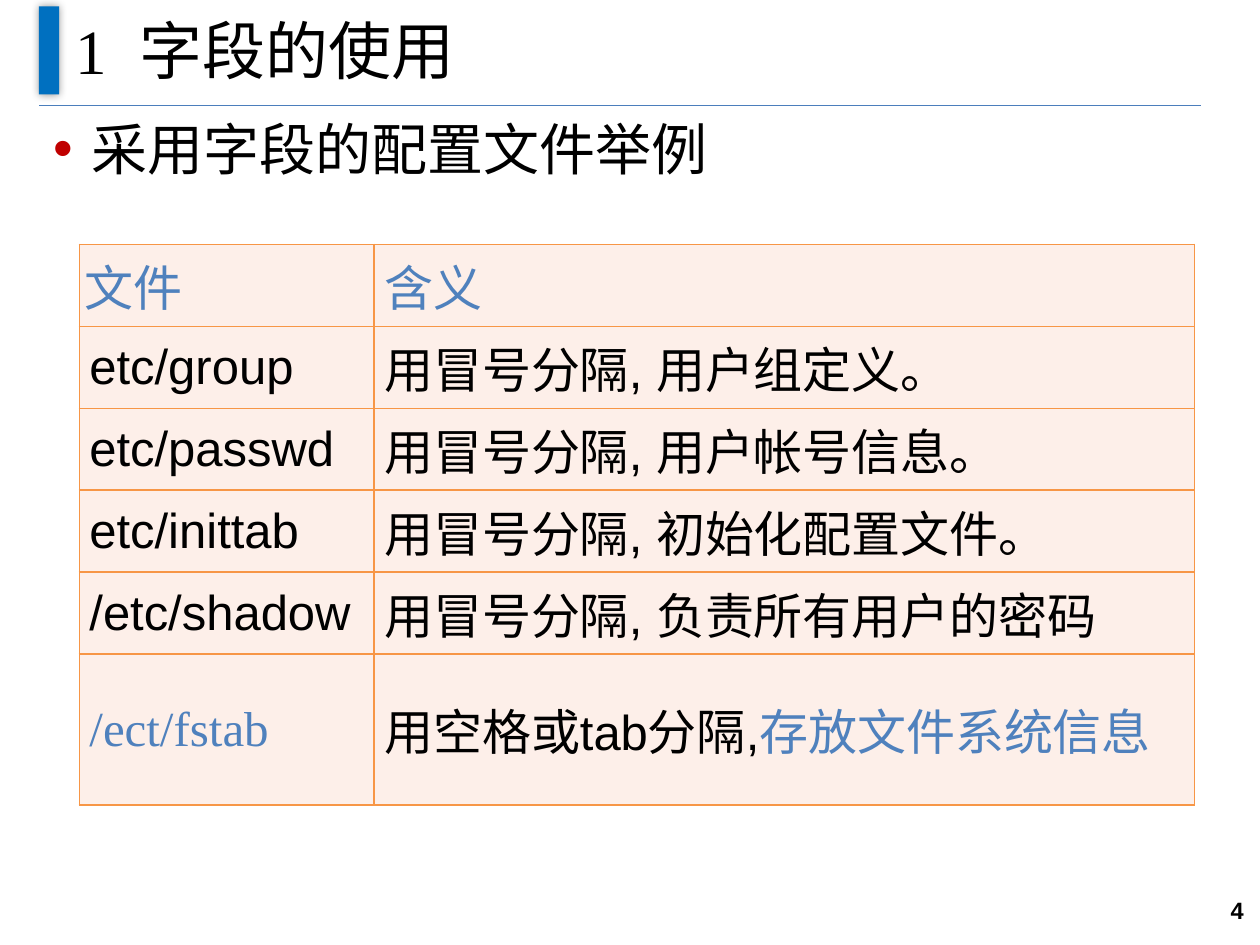
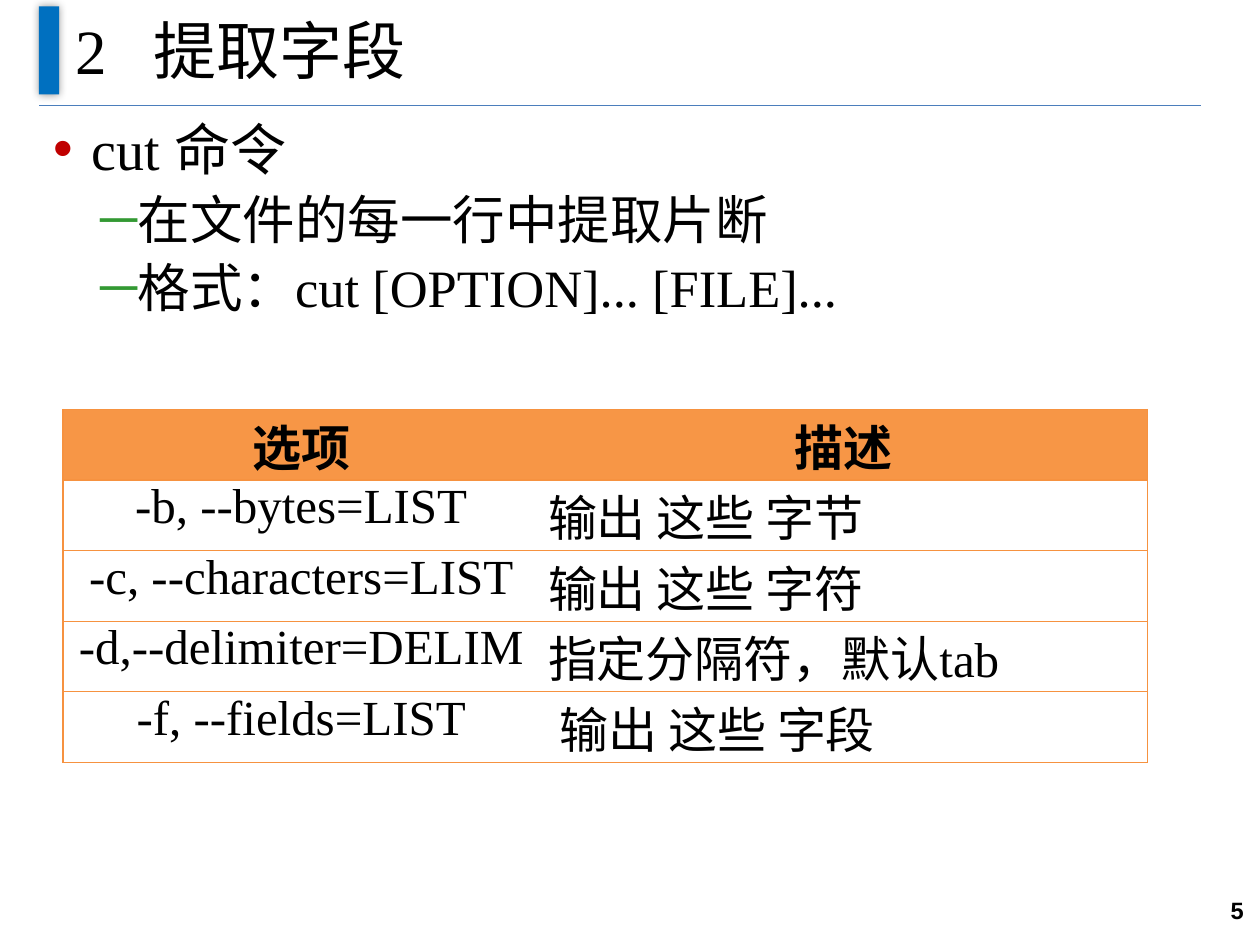
from dataclasses import dataclass

from lxml.etree import SubElement as Sub
from pptx import Presentation
from pptx.dml.color import RGBColor as RGB
from pptx.enum.lang import MSO_LANGUAGE_ID as Lang
from pptx.enum.shapes import MSO_CONNECTOR as Conn, MSO_SHAPE as Shape
from pptx.enum.text import MSO_ANCHOR as Anchor, MSO_AUTO_SIZE as Auto, PP_ALIGN as Align
from pptx.oxml.ns import qn
from pptx.util import Inches, Pt


@dataclass(frozen=True)
class Theme:
    # Fonts
    serif: str = "Times New Roman"
    sans: str = "Arial"
    # Colours
    ink: str = "000000"
    blue: str = "4F81BD"
    bar: str = "0070C0"
    rule: str = "4B7EBC"
    red: str = "C00000"
    green: str = "339933"
    head: str = "F79646"
    edge: str = "F69240"
    tint: str = "FDEFE9"
    white: str = "FFFFFF"
    # Type sizes
    title: float = 36
    point: float = 32
    sub: float = 30
    cell: float = 28
    page: float = 13.5


def tint(fill, hue):
    fill.solid()
    fill.fore_color.rgb = RGB.from_string(hue)


class Deck:
    def __init__(self, theme):
        self.theme = theme
        self.prs = Presentation()
        self.prs.slide_width, self.prs.slide_height = Inches(10), Inches(7.5)
        self.slide = None

    def style(self, run, size, font=None, hue=None, bold=False):
        face = run.font
        face.size, face.bold = Pt(size), bold
        face.name = font or self.theme.serif
        face.language_id = Lang.SIMPLIFIED_CHINESE
        face.color.rgb = RGB.from_string(hue or self.theme.ink)

    def page(self, mark, name, stop, number):
        """Start a slide with its title, side bar, rule and page number."""
        th = self.theme
        self.slide = self.prs.slides.add_slide(self.prs.slide_layouts[5])
        self.rule()
        self.bar()
        self.title(mark, name, stop)
        self.number(number)

    def rule(self):
        line = self.slide.shapes.add_connector(
            Conn.STRAIGHT, Inches(0.31), Inches(0.84), Inches(9.53), Inches(0.84))
        line.line.color.rgb = RGB.from_string(self.theme.rule)
        line.line.width = Pt(0.75)
        Sub(line._element.spPr, qn("a:effectLst"))

    def bar(self):
        box = self.slide.shapes.add_shape(
            Shape.RECTANGLE, Inches(0.31), Inches(0.05), Inches(0.16), Inches(0.7))
        tint(box.fill, self.theme.bar)
        box.line.fill.background()
        # Soft glow-like shadow around the bar
        glow = Sub(Sub(box._element.spPr, qn("a:effectLst")), qn("a:outerShdw"),
                   blurRad=str(Pt(5)), dist="0", dir="0")
        hue = Sub(glow, qn("a:srgbClr"), val=self.theme.ink)
        Sub(hue, qn("a:alpha"), val="40000")

    def title(self, mark, name, stop):
        box = self.slide.shapes.title
        box.left, box.top = Inches(0.5), Inches(-0.03)
        box.width, box.height = Inches(9), Inches(0.84)
        frame = box.text_frame
        frame.text = f"{mark}\t{name}"
        frame.auto_size = Auto.NONE
        frame.vertical_anchor = Anchor.MIDDLE
        para = frame.paragraphs[0]
        para.alignment = Align.LEFT
        tabs = Sub(para._p.get_or_add_pPr(), qn("a:tabLst"))
        Sub(tabs, qn("a:tab"), pos=str(Inches(stop)), algn="l")
        for run in para.runs:
            self.style(run, self.theme.title)

    def number(self, number):
        box = self.slide.shapes.add_textbox(
            Inches(9.04), Inches(6.95), Inches(0.93), Inches(0.55))
        frame = box.text_frame
        frame.word_wrap = True
        frame.vertical_anchor = Anchor.MIDDLE
        frame.text = str(number)
        para = frame.paragraphs[0]
        para.alignment = Align.RIGHT
        self.style(para.runs[0], self.theme.page, self.theme.sans, bold=True)

    def points(self, items):
        """Bulleted body; each item is (level, text)."""
        th = self.theme
        looks = ((0.3, -0.3, "•", th.red, th.point),
                 (0.66, -0.29, "─", th.green, th.sub))
        box = self.slide.shapes.add_textbox(
            Inches(0.33), Inches(0.91), Inches(9.18), Inches(6.34))
        frame = box.text_frame
        frame.word_wrap = True
        frame.margin_top = Inches(0.09)
        for i, (level, text) in enumerate(items):
            left, hang, mark, hue, size = looks[level]
            para = frame.add_paragraph() if i else frame.paragraphs[0]
            para.text = text
            para.level = level
            para.alignment = Align.JUSTIFY
            props = para._p.get_or_add_pPr()
            props.set("marL", str(Inches(left)))
            props.set("indent", str(Inches(hang)))
            Sub(Sub(props, qn("a:buClr")), qn("a:srgbClr"), val=hue)
            Sub(props, qn("a:buFont"), typeface=th.sans)
            Sub(props, qn("a:buChar"), char=mark)
            para.line_spacing = 0.83
            para.space_before = Pt(4.5 if i else 0)
            para.space_after = Pt(4.5)
            self.style(para.runs[0], size)

    def table(self, left, top, cols, rows):
        grid = self.slide.shapes.add_table(
            len(rows), len(cols), Inches(left), Inches(top),
            Inches(sum(cols)), Inches(sum(rows))).table
        grid.first_row = grid.horz_banding = False
        for col, width in zip(grid.columns, cols):
            col.width = Inches(width)
        for row, height in zip(grid.rows, rows):
            row.height = Inches(height)
        return grid

    def cell(self, cell, runs, fill, pad, align=Align.LEFT, anchor=Anchor.TOP):
        """Fill a cell; each run is (text, font, colour, bold)."""
        para = cell.text_frame.paragraphs[0]
        para.alignment = align
        for text, font, hue, bold in runs:
            run = para.add_run()
            run.text = text
            self.style(run, self.theme.cell, font, hue, bold)
        cell.vertical_anchor = anchor
        cell.margin_left, cell.margin_right = Inches(pad[0]), Inches(pad[1])
        cell.margin_top = cell.margin_bottom = Inches(pad[2])
        tint(cell.fill, fill)

    def edges(self, cell, hue, width, bare=""):
        """Draw the cell's four sides, leaving out those named in bare."""
        props = cell._tc.get_or_add_tcPr()
        for i, side in enumerate("LRTB"):
            line = props.makeelement(qn(f"a:ln{side}"), {"w": str(Pt(width))})
            props.insert(i, line)
            if side in bare:
                Sub(line, qn("a:noFill"))
            else:
                Sub(Sub(line, qn("a:solidFill")), qn("a:srgbClr"), val=hue)


def files(deck):
    th = deck.theme
    deck.page("1", "字段的使用", 0.51, 4)
    deck.points([(0, "采用字段的配置文件举例")])

    # Table of configuration files
    def plain(text):
        return [(text, th.sans, th.ink, False)]

    def blue(text):
        return [(text, th.serif, th.blue, False)]

    rows = [(blue("文件"), blue("含义"))]
    rows += [(plain(name), plain(f"用冒号分隔, {use}")) for name, use in (
        ("etc/group", "用户组定义。"),
        ("etc/passwd", "用户帐号信息。"),
        ("etc/inittab", "初始化配置文件。"),
        ("/etc/shadow", "负责所有用户的密码"))]
    rows.append((blue("/ect/fstab"),
                 plain("用空格或tab分隔,") + blue("存放文件系统信息")))
    grid = deck.table(0.63, 1.94, (2.34, 6.51), [0.65] * 5 + [1.2])
    for r, row in enumerate(rows):
        for c, runs in enumerate(row):
            side = 0.08 if r or c else 0.04
            deck.cell(grid.cell(r, c), runs, th.tint, (side, side, 0.04),
                      anchor=Anchor.MIDDLE if r else Anchor.TOP)
            deck.edges(grid.cell(r, c), th.head, 1)


def cut(deck):
    th = deck.theme
    deck.page("2", "提取字段", 0.62, 5)
    deck.points([(0, "cut 命令"), (1, "在文件的每一行中提取片断"),
                 (1, "格式：cut [OPTION]... [FILE]...")])

    # Table of options
    rows = (("选项", "描述"),
            ("-b, --bytes=LIST", "输出 这些 字节"),
            ("-c, --characters=LIST", "输出 这些 字符"),
            ("-d,--delimiter=DELIM", "指定分隔符，默认tab"),
            ("-f, --fields=LIST", "输出 这些 字段"))
    last = len(rows) - 1
    grid = deck.table(0.5, 3.25, (3.78, 4.83), [0.56] * len(rows))
    for r, row in enumerate(rows):
        for c, text in enumerate(row):
            cell, head = grid.cell(r, c), r == 0
            left = 0.16 if c and r == last else 0.07
            deck.cell(cell, [(text, th.serif, th.ink, head)],
                      th.head if head else th.white, (left, 0.07, 0),
                      Align.JUSTIFY if c and not head else Align.CENTER,
                      Anchor.MIDDLE if c and head else Anchor.TOP)
            deck.edges(cell, th.edge, 0.75, bare="L" if c else "R")


def main():
    deck = Deck(Theme())
    files(deck)
    cut(deck)
    deck.prs.save("out.pptx")


if __name__ == "__main__":
    main()
